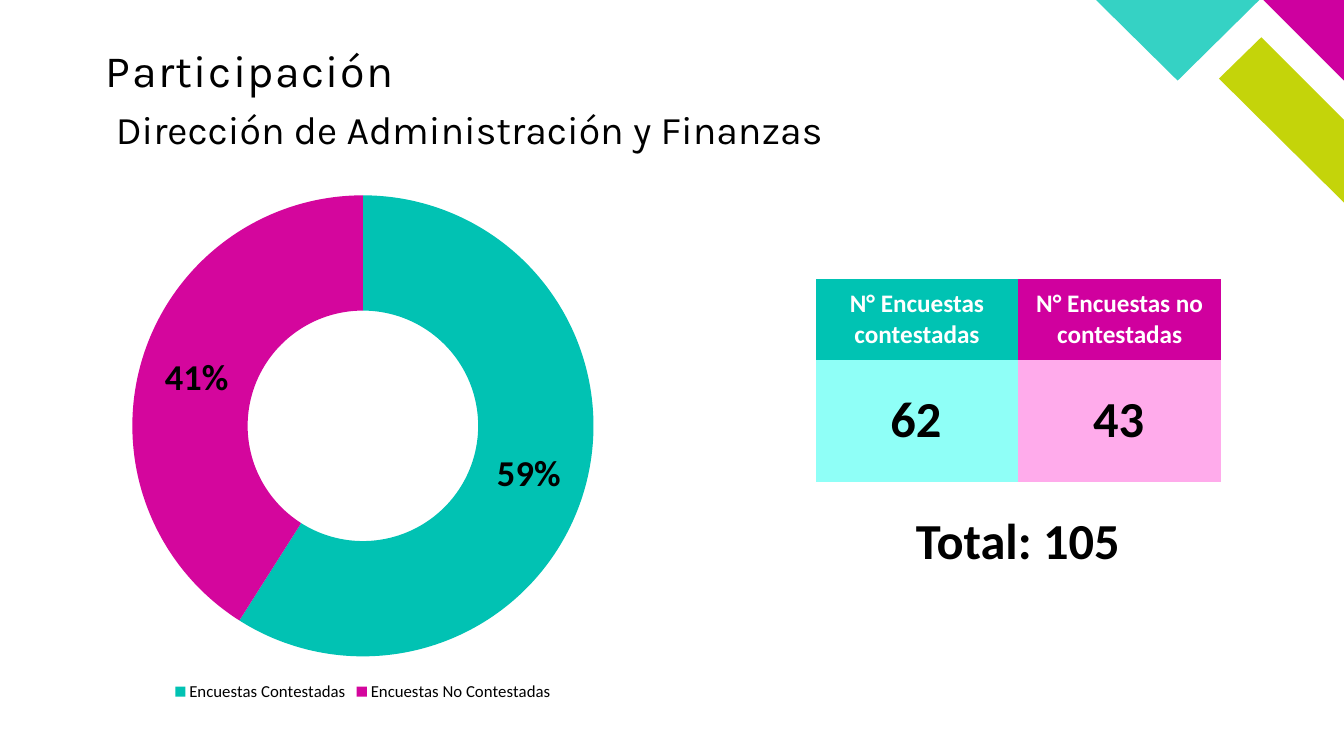
"""Builds the survey participation slide of the Dirección de Administración y Finanzas."""
from pptx import Presentation
from pptx.chart.data import CategoryChartData
from pptx.dml.color import RGBColor
from pptx.enum.chart import XL_CHART_TYPE as ChartType, XL_LEGEND_POSITION as LegendPosition
from pptx.enum.text import MSO_ANCHOR as Anchor, PP_ALIGN as Align
from pptx.oxml.ns import qn
from pptx.util import Pt

PX = 9144
THEME = {
    "black": "000000", "white": "FFFFFF",
    "lime": "C4D40A", "magenta": "CE009F", "turquoise": "35D2C4",
    "answered": "00C3B3", "unanswered": "D0009E",
    "answered_light": "8FFFF7", "unanswered_light": "FFABEB",
    "answered_slice": "01C2B3", "unanswered_slice": "D4069D",
    "heading_font": "Karla", "body_font": "Calibri",
    "title": 32, "subtitle": 28, "count": 36, "header": 18, "share": 26, "legend": 12,
}
NO_TABLE_STYLE = "{2D5ABB26-0587-4C30-8999-92F81FD0307C}"


def style_font(font, family, size, color="black", bold=False):
    font.name = THEME[family]
    font.size = Pt(THEME[size])
    font.color.rgb = RGBColor.from_string(THEME[color])
    font.bold = bold


def paint(fill, color):
    fill.solid()
    fill.fore_color.rgb = RGBColor.from_string(THEME[color])


prs = Presentation()
prs.slide_width, prs.slide_height = 1333 * PX, 750 * PX
slide = prs.slides.add_slide(prs.slide_layouts[6])

corner_pieces = [
    ("lime", [(1333, 201), (1333, 119), (1251, 37), (1209, 78)]),
    ("magenta", [(1333, 80), (1333, 0), (1253, 0)]),
    ("turquoise", [(1087, 0), (1168, 80), (1249, 0)]),
]
for color, corners in corner_pieces:
    outline = slide.shapes.build_freeform(*corners[0], scale=PX)
    outline.add_line_segments(corners[1:], close=True)
    piece = outline.convert_to_shape()
    paint(piece.fill, color)
    piece.line.fill.background()
    piece.shadow.inherit = False

counts_frame = slide.shapes.add_table(2, 2, 809 * PX, 277 * PX, 402 * PX, 201 * PX)
counts = counts_frame.table
counts.first_row = counts.horz_banding = False
counts._tbl.tblPr.find(qn("a:tableStyleId")).text = NO_TABLE_STYLE
counts.rows[0].height, counts.rows[1].height = 80 * PX, 121 * PX
columns = [
    ("N° Encuestas contestadas", "answered", "answered_light"),
    ("N° Encuestas no contestadas", "unanswered", "unanswered_light"),
]
for column, (header, color, light_color) in enumerate(columns):
    header_cell = counts.cell(0, column)
    header_cell.text_frame.text = header
    header_cell.vertical_anchor = Anchor.MIDDLE
    paragraph = header_cell.text_frame.paragraphs[0]
    paragraph.alignment = Align.CENTER
    style_font(paragraph.runs[0].font, "body_font", "header", "white", True)
    paint(header_cell.fill, color)
    paint(counts.cell(1, column).fill, light_color)

texts = [
    ("Participación", (105, 48, 561, 67), "heading_font", "title"),
    ("Dirección de Administración y Finanzas", (105, 105, 978, 96), "heading_font", "subtitle"),
    ("62", (809, 357, 199, 121), "body_font", "count"),
    ("43", (1010, 357, 199, 121), "body_font", "count"),
    ("Total: 105", (809, 478, 401, 121), "body_font", "count"),
]
for wording, place, family, size in texts:
    frame = slide.shapes.add_textbox(*(length * PX for length in place)).text_frame
    frame.word_wrap = True
    frame.text = wording
    paragraph = frame.paragraphs[0]
    paragraph.line_spacing = 0.9
    run = paragraph.runs[0]
    style_font(run.font, family, size, bold=size == "count")
    if size == "count":
        frame.vertical_anchor = Anchor.MIDDLE
        paragraph.alignment = Align.CENTER
    if size == "title":
        frame.margin_left = frame.margin_top = frame.margin_right = frame.margin_bottom = 0
        run._r.get_or_add_rPr().set("spc", "100")

participation = CategoryChartData(number_format="0%")
participation.categories = ["Encuestas Contestadas", "Encuestas No Contestadas"]
participation.add_series("Series 1", [0.59, 0.41])
chart = slide.shapes.add_chart(
    ChartType.DOUGHNUT, 100 * PX, 180 * PX, 520 * PX, 520 * PX, participation
).chart
style_font(chart.font, "body_font", "header", "white")
chart.has_title = False
chart.has_legend = True
chart.legend.position = LegendPosition.BOTTOM
chart.legend.include_in_layout = False
style_font(chart.legend.font, "body_font", "legend")

ring = chart.plots[0]
ring.vary_by_categories = True
shares = ring.series[0]
for index, color in enumerate(["answered_slice", "unanswered_slice"]):
    slice_format = shares.points[index].format
    paint(slice_format.fill, color)
    slice_format.line.fill.background()
labels = shares.data_labels
labels.show_value = True
labels.show_percentage = False
labels.number_format = "0%"
labels.number_format_is_linked = False
style_font(labels.font, "body_font", "share", bold=True)

prs.save("out.pptx")
